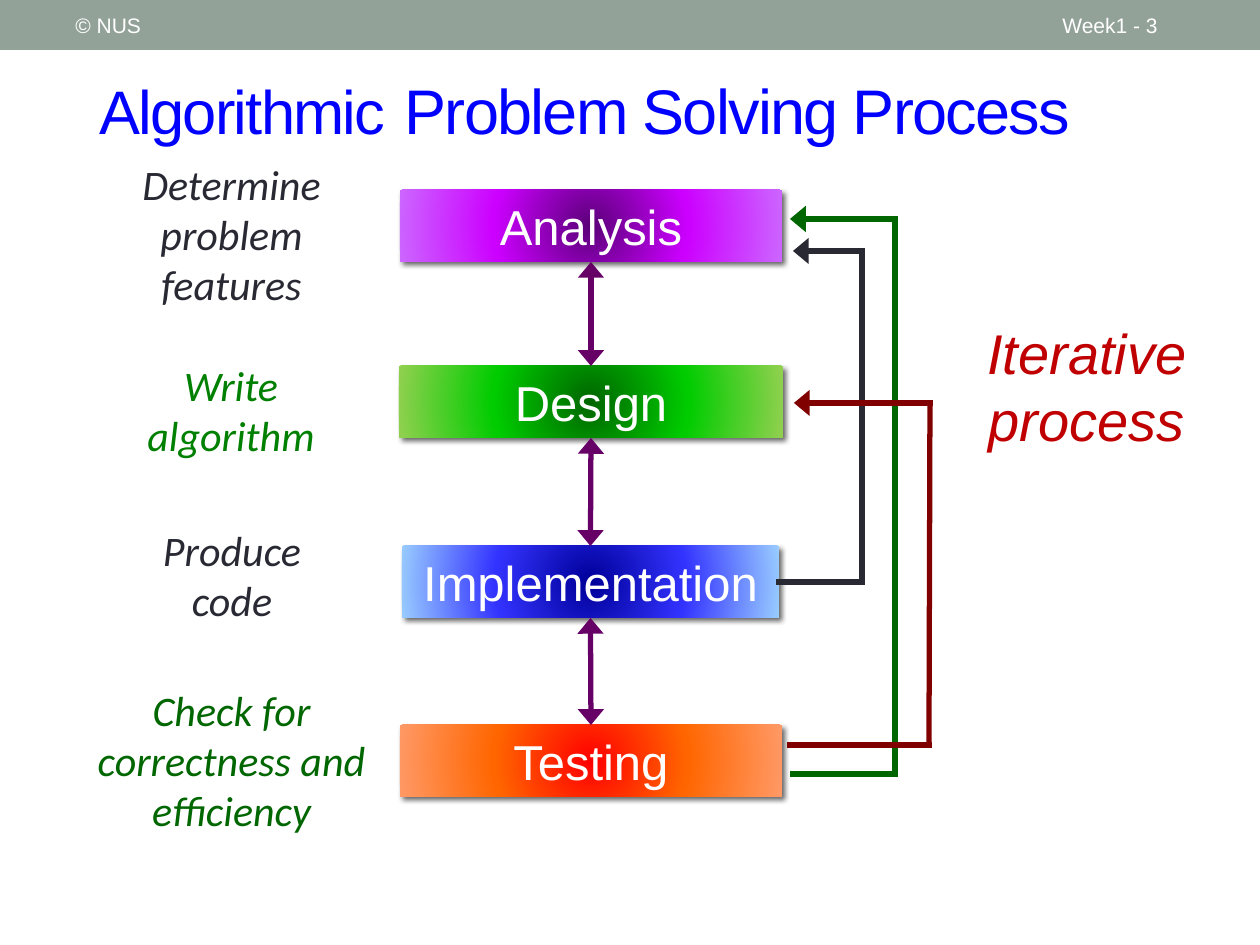
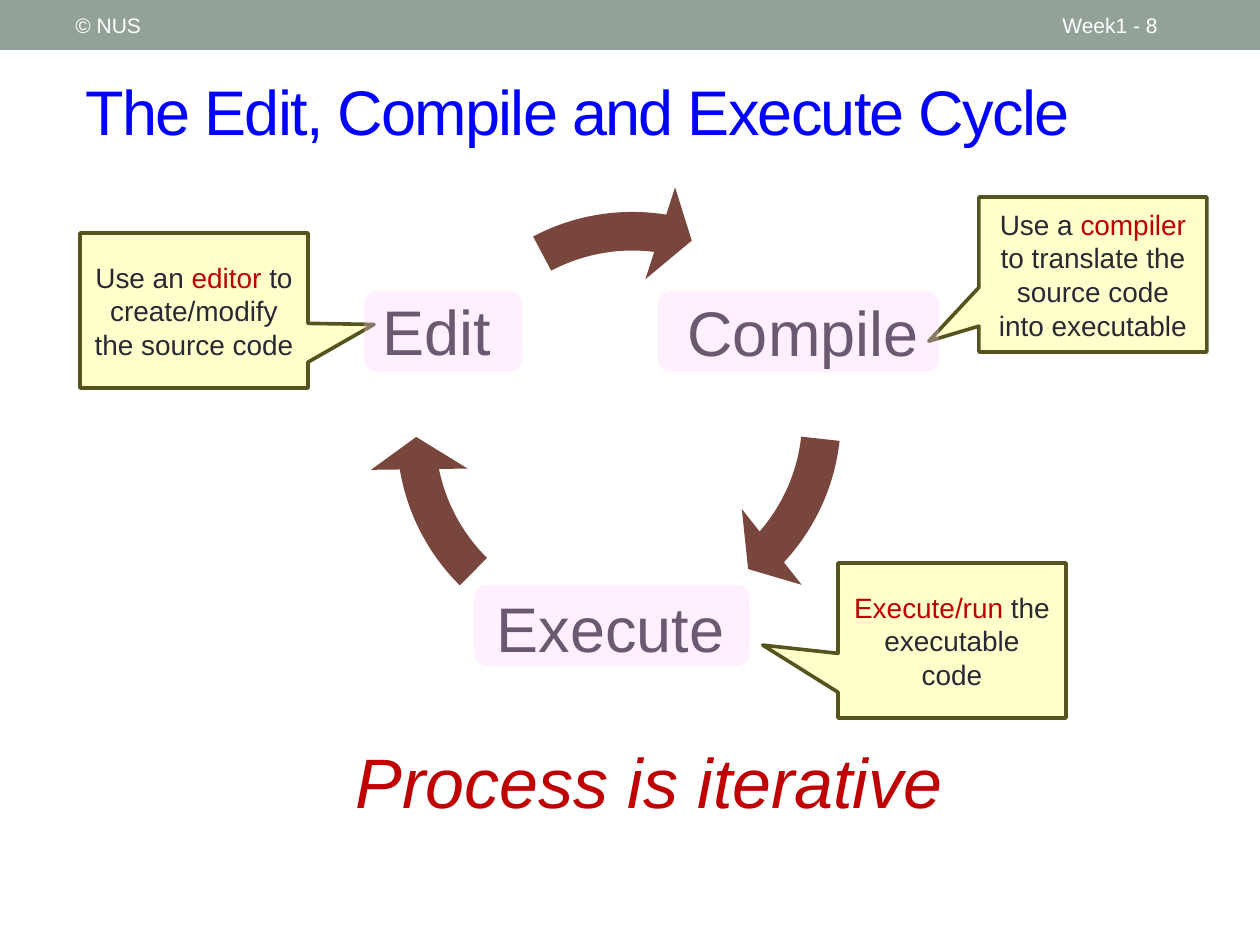
"""Build two slides on algorithmic problem solving and the edit-compile-execute cycle."""
from itertools import pairwise
from lxml import etree
from pptx import Presentation, util as u
from pptx.dml.color import RGBColor
from pptx.enum import shapes, text
from pptx.oxml.ns import qn


class Theme:
    sans, hand = "Arial", "Calibri"
    band, white, blue, ink, red = "93A299", "FFFFFF", "0000FF", "292934", "C00000"
    green, leaf, maroon, plum = "006600", "008000", "800000", "660066"
    brown, cream, olive, pink = "79463D", "FFFFCC", "56541E", "FFCCFF"
    small, note, label, step, call, head, close = 12, 16, 24, 28, 32, 36, 40
    lead = 35.1


PX = 7257
RGB = RGBColor.from_string
KIND, SIDE, MID = shapes.MSO_SHAPE, text.PP_ALIGN, text.MSO_ANCHOR


def px(*nums):
    return [u.Emu(n * PX) for n in nums]


def write(shape, words, size, color, align=SIDE.CENTER, anchor=MID.TOP,
          name=Theme.sans, italic=None, tight=False):
    frame = shape.text_frame
    frame.word_wrap, frame.auto_size = True, text.MSO_AUTO_SIZE.NONE
    frame.vertical_anchor = anchor
    para = frame.paragraphs[0]
    para.alignment = align
    font = para.font
    font.name, font.size, font.italic = name, u.Pt(size), italic
    font.color.rgb = RGB(color)
    for i, part in enumerate(words.split("|")):
        if part:
            run = para.add_run()
            run.text = part
            if i % 2:
                run.font.color.rgb = RGB(Theme.red)
            if tight:
                run.font._element.set("spc", "-100")
    return para


deck = Presentation()
deck.slide_width, deck.slide_height = px(1260, 945)
plan = deck.slide_layouts[5]
pages = []
for title, frame, page in [
    ("Problem Solving Process", (392, 62, 771, 94), 3),
    ("The Edit, Compile and Execute Cycle", (73, 63, 1124, 94), 8),
]:
    slide = deck.slides.add_slide(plan)
    head = slide.shapes.title
    head.left, head.top, head.width, head.height = px(*frame)
    write(head, title, Theme.head, Theme.blue, SIDE.LEFT, MID.MIDDLE, tight=True)
    for words, left, width in [(f"Week1 - {page}", 1050, 147), ("© NUS", 63, 399)]:
        box = slide.shapes.add_textbox(*px(left, 3, width, 45))
        write(box, words, Theme.small, Theme.white, SIDE.LEFT, MID.MIDDLE)
    pages.append(slide.shapes)
flow, cycle = pages

band = flow.add_shape(KIND.RECTANGLE, *px(0, 0, 1260, 50))
band.shadow.inherit = False
band.fill.solid()
band.fill.fore_color.rgb = RGB(Theme.band)
band.line.fill.background()
plan.shapes.element.insert(2, band._element)

steps = []
for name, frame, tones in [
    ("Analysis", (400, 190, 382, 72), ("5B0079", "CC00FF", "CC66FF")),
    ("Design", (399, 366, 384, 72), ("006600", "00CC00", "92D050")),
    ("Implementation", (402, 546, 377, 72), ("000099", "3333FF", "99CCFF")),
    ("Testing", (400, 725, 382, 72), ("FF0000", "FF6600", "FF9966")),
]:
    step = flow.add_shape(KIND.RECTANGLE, *px(*frame))
    step.line.fill.background()
    step.shadow.inherit = False
    step.fill.gradient()
    props = step._element.spPr
    grad = props.find(qn("a:gradFill"))
    grad.clear()
    stops = etree.SubElement(grad, qn("a:gsLst"))
    for i, tone in enumerate(tones):
        stop = etree.SubElement(stops, qn("a:gs"), pos=str(i * 50000))
        etree.SubElement(stop, qn("a:srgbClr"), val=tone)
    ring = etree.SubElement(grad, qn("a:path"), path="circle")
    etree.SubElement(ring, qn("a:fillToRect"), dict.fromkeys("ltrb", "50000"))
    cast = etree.SubElement(props.find(qn("a:effectLst")), qn("a:outerShdw"),
                            blurRad=str(u.Pt(3)), dist=str(u.Pt(2)), dir="2700000")
    shade = etree.SubElement(cast, qn("a:srgbClr"), val="000000")
    etree.SubElement(shade, qn("a:alpha"), val="60000")
    write(step, name, Theme.step, Theme.white)
    steps.append(step)

LINE = shapes.MSO_CONNECTOR.STRAIGHT
links = []
for top, low in pairwise(steps):
    link = flow.add_connector(LINE, 0, 0, 0, 0)
    link.begin_connect(top, 2)
    link.end_connect(low, 0)
    links.append((link, Theme.plum, ("headEnd", "tailEnd")))
for color, spots in [
    (Theme.ink, [(779, 582), (862, 582), (862, 251), (793, 251)]),
    (Theme.green, [(793, 774), (895, 774), (895, 219), (790, 219)]),
    (Theme.maroon, [(790, 745), (929, 745), (930, 403), (794, 403)]),
]:
    for start, end in pairwise(spots):
        link = flow.add_connector(LINE, *px(*start, *end))
        if start == (779, 582):
            link.begin_connect(steps[2], 3)
        links.append((link, color, ("tailEnd",) if end == spots[-1] else ()))
for link, color, tips in links:
    link.line.color.rgb = RGB(color)
    link.line.width = u.Pt(3)
    props = link._element.spPr
    edge = props.find(qn("a:ln"))
    edge.set("cap", "sq")
    for tip in tips:
        etree.SubElement(edge, qn(f"a:{tip}"), type="triangle", w="lg", len="med")
    etree.SubElement(props, qn("a:effectLst"))

box = flow.add_textbox(*px(945, 312, 284, 149))
write(box, "Iterative process", Theme.call, Theme.red, italic=True)
box = flow.add_textbox(*px(87, 63, 411, 94))
write(box, "Algorithmic", Theme.lead, Theme.blue, SIDE.LEFT, MID.MIDDLE, tight=True)
for words, frame, color in [
    ("Determine problem features", (79, 152, 305, 165), Theme.ink),
    ("Write algorithm", (84, 353, 294, 115), Theme.leaf),
    ("Produce code", (115, 518, 234, 115), Theme.ink),
    ("Check for correctness and efficiency", (57, 678, 349, 165), Theme.green),
]:
    box = flow.add_textbox(*px(*frame))
    write(box, words, Theme.label, color, name=Theme.hand, italic=True)

for name, frame, spot, turn in [
    ("Compile", (660, 234, 286, 204), (387, 176), (25.25, 3.81)),
    ("Execute", (470, 530, 281, 204), (368, 193), (101.78, 80.85)),
    ("Edit", (335, 233, 204, 204), (391, 183), (166.97, 145.29)),
]:
    box = cycle.add_textbox(*px(*frame))
    para = write(box, name, Theme.head, Theme.ink, anchor=MID.MIDDLE)
    para.line_spacing = 0.9
    area = box.text_frame
    area.margin_left = area.margin_right = area.margin_top = area.margin_bottom = u.Inches(0.05)
    arrow = cycle.add_shape(KIND.CIRCULAR_ARROW, *px(*spot, 483, 483))
    for i, value in enumerate((0.08, 5.77, *turn, 0.1)):
        arrow.adjustments[i] = value
    arrow.shadow.inherit = False
    arrow.fill.solid()
    arrow.fill.fore_color.rgb = RGB(Theme.brown)
    arrow.line.fill.background()

box = cycle.add_textbox(*px(318, 732, 662, 97))
write(box, "Process is iterative", Theme.close, Theme.red, italic=True)

for words, spot, tip in [
    ("Use an |editor |to create/modify the source code", (80, 233), (0.79, 0.09)),
    ("Use a |compiler |to translate the source code into executable", (979, 197), (-0.72, 0.43)),
    ("|Execute/run |the executable code", (838, 563), (-0.83, 0.03)),
]:
    note = cycle.add_shape(KIND.RECTANGULAR_CALLOUT, *px(*spot, 228, 155))
    note.adjustments[0], note.adjustments[1] = tip
    note.shadow.inherit = False
    note.fill.solid()
    note.fill.fore_color.rgb = RGB(Theme.cream)
    note.line.color.rgb = RGB(Theme.olive)
    note.line.width = u.Pt(2.08)
    write(note, words, Theme.note, Theme.ink, anchor=MID.MIDDLE)

for left, top, width in [(364, 291, 158), (658, 291, 281), (474, 585, 276)]:
    veil = cycle.add_shape(KIND.ROUNDED_RECTANGLE, *px(left, top, width, 81))
    veil.shadow.inherit = False
    veil.fill.solid()
    veil.fill.fore_color.rgb = RGB(Theme.pink)
    tone = veil._element.spPr.find(qn("a:solidFill"))[0]
    etree.SubElement(tone, qn("a:alpha"), val="30000")
    veil.line.fill.background()

deck.save("out.pptx")
